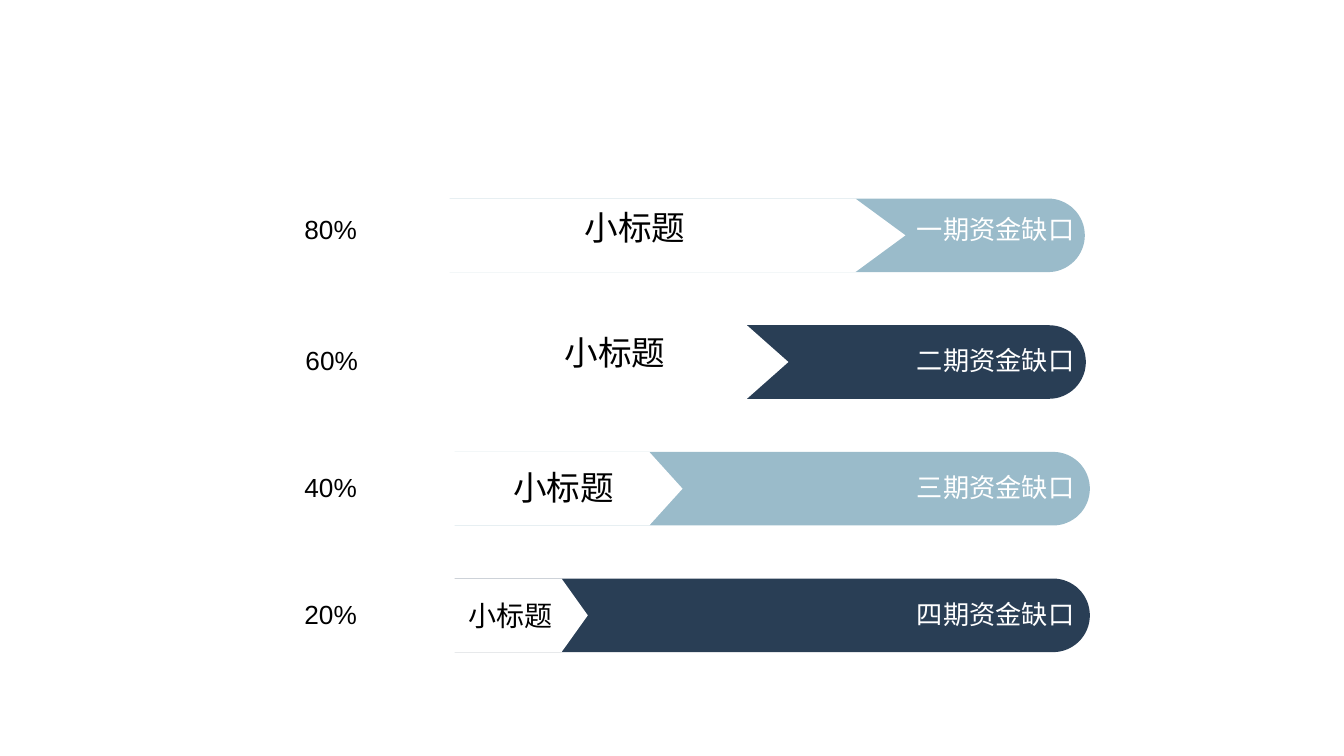
from math import cos, pi, sin

from pptx import Presentation
from pptx.dml.color import RGBColor
from pptx.enum.text import MSO_AUTO_SIZE, PP_ALIGN
from pptx.util import Inches, Pt

CENTER, RIGHT = PP_ALIGN.CENTER, PP_ALIGN.RIGHT
FIT_SHAPE = MSO_AUTO_SIZE.SHAPE_TO_FIT_TEXT
COLORS = {"light": "9ABBCA", "dark": "293E55", "white": "FFFFFF", "black": "000000"}

FIRST_TOP, ROW_STEP = 1.97, 3.77 / 3
BAR_WIDTH, BAR_HEIGHT = 6.3, 0.73
POINT_RATIO = 0.074  # arrow point length as a share of the arrow width
ARC_STEPS = 32

# gap label, its top, percent, its left, bar color, bar left, arrow left, arrow width,
# heading left, heading top, heading size
ROWS = [
    ("一期资金缺口", 2.07, "80%", 2.91, "light", 4.46, 2.26, 6.72, 3.7, 2.05, 24),
    ("二期资金缺口", 3.37, "60%", 2.92, "dark", 4.47, 2.26, 5.56, 3.5, 3.29, 24),
    ("三期资金缺口", 4.63, "40%", 2.91, "light", 4.51, 2.31, 4.46, 2.99, 4.63, 24),
    ("四期资金缺口", 5.89, "20%", 2.91, "dark", 4.51, 2.31, 3.52, 2.38, 5.94, 20),
]


def half_ellipse(center_x, center_y, radius_x, radius_y):
    """Points from top to bottom; a negative radius_x bulges to the left."""
    angles = [pi * (step / ARC_STEPS - 0.5) for step in range(ARC_STEPS + 1)]
    return [(center_x + radius_x * cos(a), center_y + radius_y * sin(a)) for a in angles]


class SlideBuilder:
    def __init__(self, page, font="Arial"):
        self.page = page
        self.font = font

    def outline(self, points, color):
        corners = [(Inches(x), Inches(y)) for x, y in points]
        builder = self.page.shapes.build_freeform(*corners[0], scale=1.0)
        builder.add_line_segments(corners[1:], close=True)
        shape = builder.convert_to_shape()
        shape.shadow.inherit = False
        shape.fill.solid()
        shape.fill.fore_color.rgb = RGBColor.from_string(COLORS[color])
        shape.line.fill.background()

    def bar(self, left, top, color):
        """Bar with a flat left side and a round right end."""
        radius = BAR_HEIGHT / 2
        arc = half_ellipse(left + BAR_WIDTH - radius, top + radius, radius, radius)
        self.outline([(left, top), *arc, (left, top + BAR_HEIGHT)], color)

    def arrow(self, left, top, width, color):
        """Arrow with a round left end and a pointed right end."""
        point, half = width * POINT_RATIO, BAR_HEIGHT / 2
        neck = left + width - point
        arc = half_ellipse(left + point, top + half, -point, half)
        head = [(neck, top + BAR_HEIGHT), (left + width, top + half), (neck, top)]
        self.outline(arc + head, color)

    def text(self, words, left, top, width, height, size, color, align=CENTER, inset=True):
        box = self.page.shapes.add_textbox(*map(Inches, (left, top, width, height)))
        frame = box.text_frame
        frame.text = words
        frame.auto_size = FIT_SHAPE
        frame.word_wrap = not inset
        if not inset:
            frame.margin_left = frame.margin_right = 0
            frame.margin_top = frame.margin_bottom = 0
        para = frame.paragraphs[0]
        para.alignment = align
        span = para.runs[0]
        span.font.name = self.font
        span.font.size = Pt(size)
        span.font.color.rgb = RGBColor.from_string(COLORS[color])


def main():
    deck = Presentation()
    deck.slide_width, deck.slide_height = Inches(13.33), Inches(7.5)
    slide = SlideBuilder(deck.slides.add_slide(deck.slide_layouts[6]))
    for index, row in enumerate(ROWS):
        (label, label_top, percent, percent_left, color, bar_left,
         arrow_left, arrow_width, heading_left, heading_top, heading_size) = row
        top = FIRST_TOP + index * ROW_STEP
        slide.bar(bar_left, top, color)
        slide.arrow(arrow_left, top, arrow_width, "white")
        slide.text(label, 8.99, label_top, 1.77, 0.42, 18.7, "white")
        slide.text(percent, percent_left, label_top, 0.74, 0.42, 18.7, "black")
        slide.text("小标题", heading_left, heading_top, 3.1, heading_size / 60,
                   heading_size, "black", RIGHT, inset=False)
    deck.save("out.pptx")


if __name__ == "__main__":
    main()
